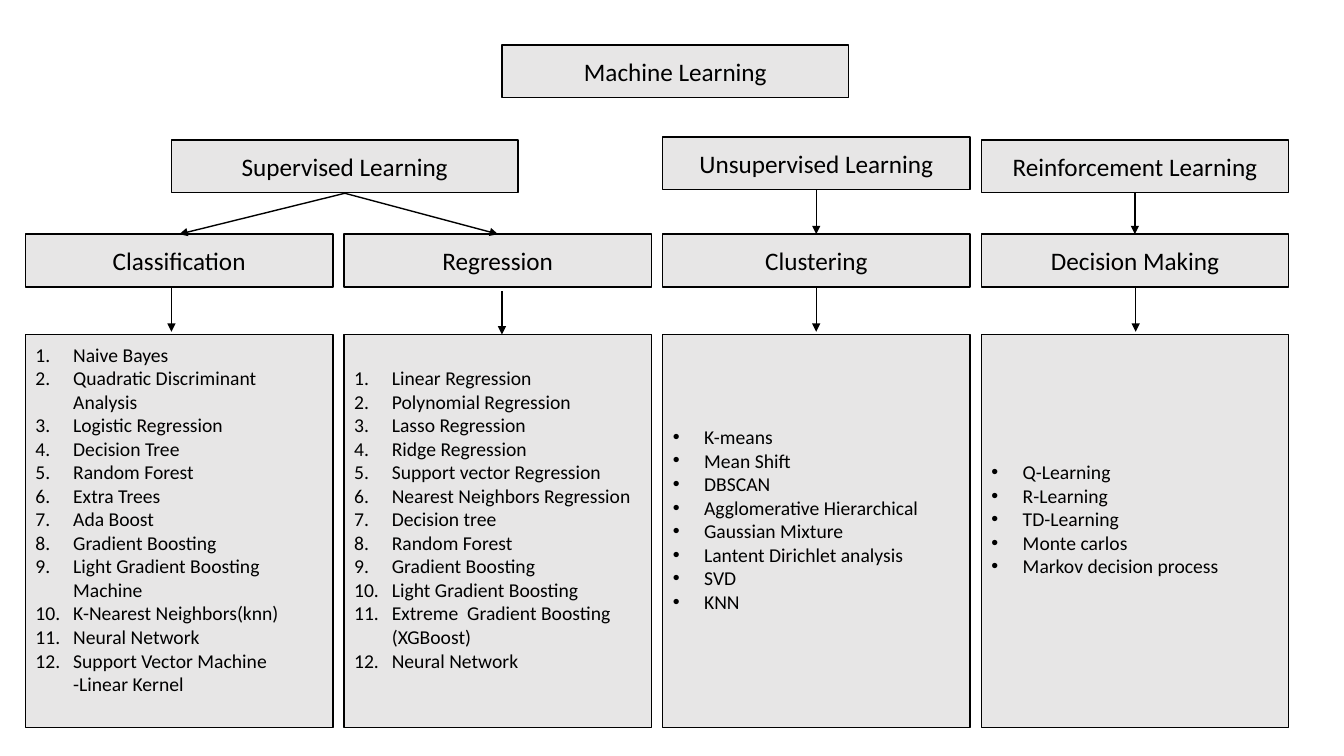
from pptx import Presentation
from pptx.dml.color import RGBColor
from pptx.enum.shapes import MSO_CONNECTOR, MSO_SHAPE
from pptx.enum.text import MSO_ANCHOR, MSO_AUTO_SIZE, PP_ALIGN
from pptx.oxml.ns import qn
from pptx.util import Cm, Pt
from lxml.etree import SubElement

FONT, INK, PANEL = "Calibri", "000000", "E7E6E6"

# Positions and sizes in centimetres
ROOT = ("Machine Learning", 12.65, 1.13, 8.74)
BRANCHES = [
    ("Supervised Learning", 4.32, 3.53, 8.74),
    ("Unsupervised Learning", 16.7, 3.45, 7.75),
    ("Reinforcement Learning", 24.73, 3.53, 7.75),
]
COLUMNS = [
    ("Classification", True, [
        "Naive Bayes", "Quadratic Discriminant Analysis", "Logistic Regression",
        "Decision Tree", "Random Forest", "Extra Trees", "Ada Boost",
        "Gradient Boosting", "Light Gradient Boosting Machine",
        "K-Nearest Neighbors(knn)", "Neural Network",
        "Support Vector Machine -Linear Kernel"]),
    ("Regression", True, [
        "Linear Regression", "Polynomial Regression", "Lasso Regression",
        "Ridge Regression", "Support vector Regression",
        "Nearest Neighbors Regression", "Decision tree", "Random Forest",
        "Gradient Boosting", "Light Gradient Boosting",
        "Extreme  Gradient Boosting (XGBoost)", "Neural Network"]),
    ("Clustering", False, [
        "K-means", "Mean Shift", "DBSCAN", "Agglomerative Hierarchical",
        "Gaussian Mixture", "Lantent Dirichlet analysis", "SVD", "KNN"]),
    ("Decision Making", False, [
        "Q-Learning", "R-Learning", "TD-Learning", "Monte carlos",
        "Markov decision process"]),
]
ARROWS = [  # x1, y1, x2, y2
    (8.69, 4.87, 4.52, 5.9), (8.69, 4.87, 12.55, 5.9),
    (20.57, 4.79, 20.57, 5.9), (28.6, 4.87, 28.6, 5.9),
    (4.32, 7.24, 4.32, 8.36), (12.65, 7.34, 12.65, 8.43),
    (20.57, 7.24, 20.57, 8.36), (28.62, 7.24, 28.62, 8.36),
]
LEFT, PITCH, COLUMN_WIDTH = 0.64, 8.03, 7.75
TASK_TOP, LIST_TOP = 5.9, 8.43
HEADING_HEIGHT, LIST_HEIGHT = 1.33, 9.9


def color(value):
    return RGBColor.from_string(value)


def style_box(box, left, top, width, height):
    box.left, box.top, box.width, box.height = map(Cm, (left, top, width, height))
    box.fill.solid()
    box.fill.fore_color.rgb = color(PANEL)
    box.line.color.rgb = color(INK)
    box.line.width = Pt(1)
    frame = box.text_frame
    frame.word_wrap = True
    frame.auto_size = MSO_AUTO_SIZE.NONE
    frame.vertical_anchor = MSO_ANCHOR.MIDDLE


def style_text(para, size, align):
    para.alignment = align
    para.space_before = Pt(0)
    for span in para.runs:
        span.font.name, span.font.size, span.font.bold = FONT, Pt(size), False
        span.font.color.rgb = color(INK)


def fill_heading(box, text, left, top, width):
    style_box(box, left, top, width, HEADING_HEIGHT)
    box.text_frame.text = text
    style_text(box.text_frame.paragraphs[0], 18, PP_ALIGN.CENTER)


def add_heading(page, text, left, top, width):
    box = page.shapes.add_shape(MSO_SHAPE.RECTANGLE, 0, 0, 0, 0)
    box.shadow.inherit = False
    fill_heading(box, text, left, top, width)


def set_marker(para, numbered):
    """Give the paragraph a number or a bullet with a hanging indent."""
    indent = Cm(0.95 if numbered else 0.79)
    props = para._p.get_or_add_pPr()
    props.set("marL", str(indent))
    props.set("indent", str(-indent))
    SubElement(props, qn("a:buFont"), typeface="+mj-lt" if numbered else "Arial")
    if numbered:
        SubElement(props, qn("a:buAutoNum"), type="arabicPeriod")
    else:
        SubElement(props, qn("a:buChar"), char="•")


def fill_list(box, items, numbered, left):
    style_box(box, left, LIST_TOP, COLUMN_WIDTH, LIST_HEIGHT)
    frame = box.text_frame
    frame.margin_bottom = Cm(0.73)
    frame.text = "\n".join(items)
    for para in frame.paragraphs:
        style_text(para, 14, PP_ALIGN.LEFT)
        set_marker(para, numbered)


def add_arrow(page, *ends):
    arrow = page.shapes.add_connector(MSO_CONNECTOR.STRAIGHT, *map(Cm, ends))
    arrow.line.color.rgb = color(INK)
    arrow.line.width = Pt(1)
    SubElement(arrow.line._get_or_add_ln(), qn("a:tailEnd"), type="triangle")
    SubElement(arrow._element.spPr, qn("a:effectLst"))


def main():
    deck = Presentation()
    deck.slide_width, deck.slide_height = Cm(33.87), Cm(19.05)
    comparison = deck.slide_layouts[4]
    page = deck.slides.add_slide(comparison)
    title, *list_boxes = list(page.placeholders)[:5]

    fill_heading(title, *ROOT)
    for branch in BRANCHES:
        add_heading(page, *branch)
    for index, (task, numbered, methods) in enumerate(COLUMNS):
        left = LEFT + index * PITCH
        add_heading(page, task, left, TASK_TOP, COLUMN_WIDTH)
        fill_list(list_boxes[index], methods, numbered, left)
    for ends in ARROWS:
        add_arrow(page, *ends)
    deck.save("out.pptx")


if __name__ == "__main__":
    main()
